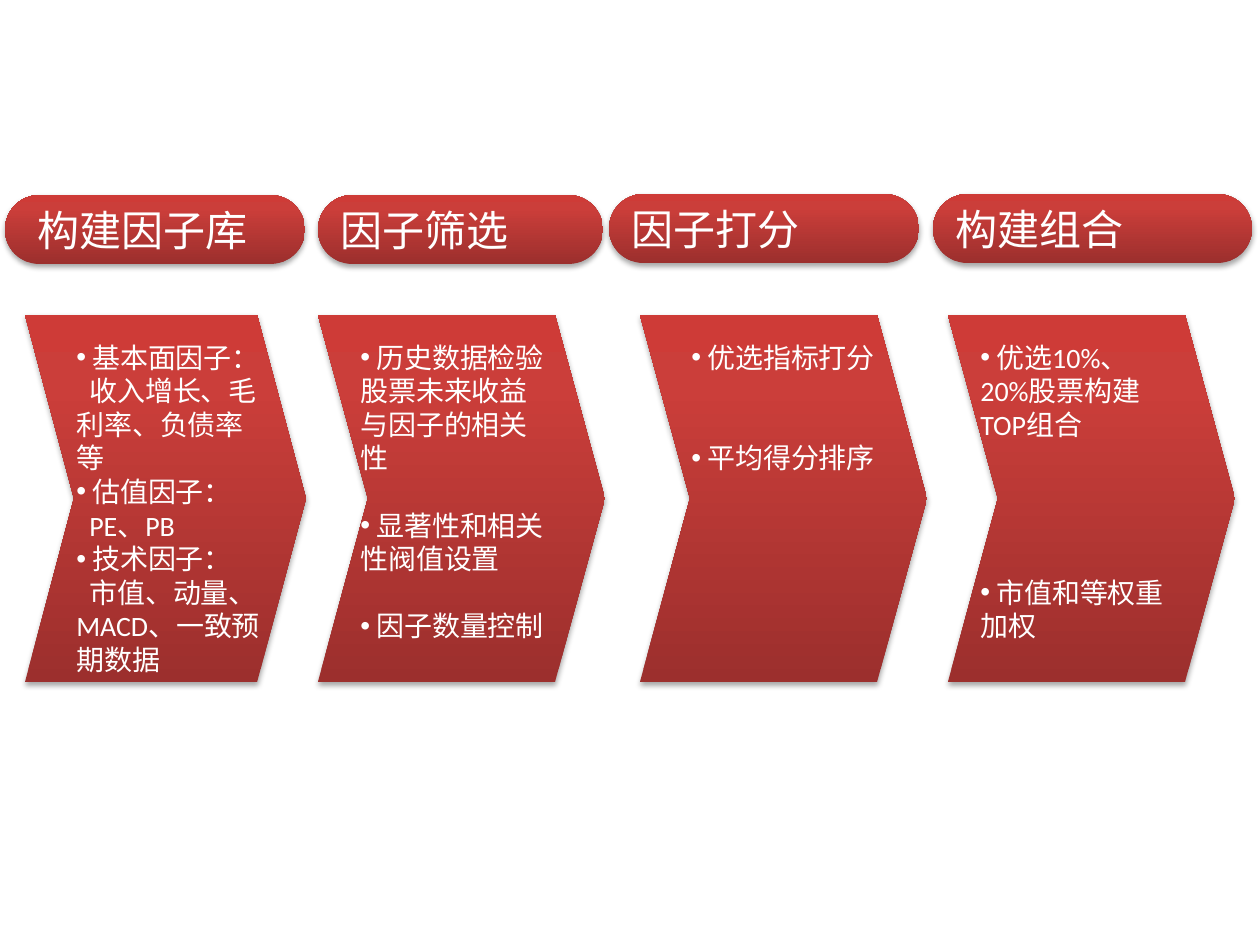
from dataclasses import dataclass

from pptx import Presentation
from pptx.dml.color import RGBColor
from pptx.enum.shapes import MSO_SHAPE
from pptx.enum.text import MSO_ANCHOR, MSO_AUTO_SIZE
from pptx.oxml import parse_xml
from pptx.oxml.ns import nsdecls, qn
from pptx.util import Emu, Pt

CHEVRON = MSO_SHAPE.CHEVRON
PILL = MSO_SHAPE.ROUNDED_RECTANGLE
MIDDLE = MSO_ANCHOR.MIDDLE
GROW = MSO_AUTO_SIZE.SHAPE_TO_FIT_TEXT
BLANK_LAYOUT = 6
PX = 914400 / 126


@dataclass(frozen=True)
class Theme:
    latin: str = "Calibri"
    east_asian: str = "Noto Sans CJK SC"
    text: str = "FFFFFF"
    shadow: str = "000000"
    gradient: tuple = ((0, "9C2F2D"), (80, "CB3E3A"), (100, "CE3B37"))
    title_size: int = 24
    body_size: int = 16
    line_height: float = 19.2


@dataclass(frozen=True)
class Item:
    text: str
    bullet: bool = True
    gap_lines: int = 0
    indent: int = 0


@dataclass(frozen=True)
class Frame:
    left: int
    top: int
    width: int
    height: int


@dataclass(frozen=True)
class Stage:
    title: str
    pill: Frame
    chevron: Frame
    body: Frame
    items: tuple[Item, ...]
    title_indent: int = 0


THEME = Theme()


def detail(text: str) -> Item:
    return Item(text, bullet=False, indent=13)


STAGES = (
    Stage("构建因子库", Frame(5, 195, 300, 69), Frame(25, 315, 281, 367), Frame(64, 334, 213, 349), (
        Item(" 基本面因子："),
        detail("收入增长、毛利率、负债率等"),
        Item(" 估值因子："),
        detail("PE、PB"),
        Item(" 技术因子："),
        detail("市值、动量、MACD、一致预期数据"),
    ), title_indent=10),
    Stage("因子筛选", Frame(318, 195, 285, 69), Frame(318, 315, 287, 367), Frame(348, 334, 218, 349), (
        Item(" 历史数据检验"),
        Item("股票未来收益与因子的相关性", bullet=False),
        Item(" 显著性和相关性阀值设置", gap_lines=1),
        Item(" 因子数量控制", gap_lines=1),
    )),
    Stage("因子打分", Frame(609, 194, 310, 69), Frame(640, 315, 287, 367), Frame(679, 334, 218, 147), (
        Item(" 优选指标打分"),
        Item(" 平均得分排序", gap_lines=2),
    )),
    Stage("构建组合", Frame(933, 194, 319, 69), Frame(948, 315, 287, 367), Frame(968, 334, 218, 316), (
        Item(" 优选10%、20%股票构建TOP组合"),
        Item(" 市值和等权重加权", gap_lines=4),
    )),
)


def px(value: int) -> Emu:
    return Emu(round(value * PX))


def place(frame: Frame) -> tuple[Emu, ...]:
    return px(frame.left), px(frame.top), px(frame.width), px(frame.height)


def write(para, text: str, *, size: int, bullet: bool = False, indent: int = 0, before: float = 0) -> None:
    span = para.add_run()
    span.text = text
    span.font.size = Pt(size)
    span.font.name = THEME.latin
    span.font.color.rgb = RGBColor.from_string(THEME.text)
    span.font._element.append(
        parse_xml(f'<a:ea {nsdecls("a")} typeface="{THEME.east_asian}"/>'))
    para.space_before = Pt(before)
    properties = para._p.get_or_add_pPr()
    properties.set("marL", "0")
    properties.set("indent", str(px(indent)))
    if bullet:
        properties.append(parse_xml(f'<a:buFont {nsdecls("a")} typeface="Arial"/>'))
        properties.append(parse_xml(f'<a:buChar {nsdecls("a")} char="•"/>'))


def add_red_shape(page, kind, frame: Frame, adjustment: float):
    shape = page.shapes.add_shape(kind, *place(frame))
    shape.adjustments[0] = adjustment
    shape.line.fill.background()

    # Three-stop gradient, running from the bottom up
    shape.fill.gradient()
    shape.fill.gradient_angle = 90
    stops = shape._element.spPr.find(qn("a:gradFill")).find(qn("a:gsLst"))
    for stop in list(stops):
        stops.remove(stop)
    for percent, color in THEME.gradient:
        stops.append(parse_xml(
            f'<a:gs {nsdecls("a")} pos="{percent * 1000}"><a:srgbClr val="{color}"/></a:gs>'))

    # Soft shadow below
    shape.shadow.inherit = False
    shape._element.spPr.find(qn("a:effectLst")).append(parse_xml(
        f'<a:outerShdw {nsdecls("a")} blurRad="{Pt(3.1)}" dist="{Pt(1.8)}" dir="5400000" rotWithShape="0">'
        f'<a:srgbClr val="{THEME.shadow}"><a:alpha val="35000"/></a:srgbClr></a:outerShdw>'))
    return shape


def add_title(page, stage: Stage) -> None:
    pill = add_red_shape(page, PILL, stage.pill, 0.5)
    frame = pill.text_frame
    frame.word_wrap = True
    frame.vertical_anchor = MIDDLE
    para = frame.paragraphs[0]
    para.alignment = 1
    write(para, stage.title, size=THEME.title_size, indent=stage.title_indent)


def add_body(page, stage: Stage) -> None:
    box = page.shapes.add_textbox(*place(stage.body))
    frame = box.text_frame
    frame.word_wrap = True
    frame.auto_size = GROW
    for index, item in enumerate(stage.items):
        para = frame.add_paragraph() if index else frame.paragraphs[0]
        write(para, item.text, size=THEME.body_size, bullet=item.bullet,
              indent=item.indent, before=item.gap_lines * THEME.line_height)


def main() -> None:
    deck = Presentation()
    deck.slide_width, deck.slide_height = px(1260), px(945)
    page = deck.slides.add_slide(deck.slide_layouts[BLANK_LAYOUT])
    for stage in STAGES:
        add_red_shape(page, CHEVRON, stage.chevron, 0.174)
        add_title(page, stage)
        add_body(page, stage)
    deck.save("out.pptx")


if __name__ == "__main__":
    main()
